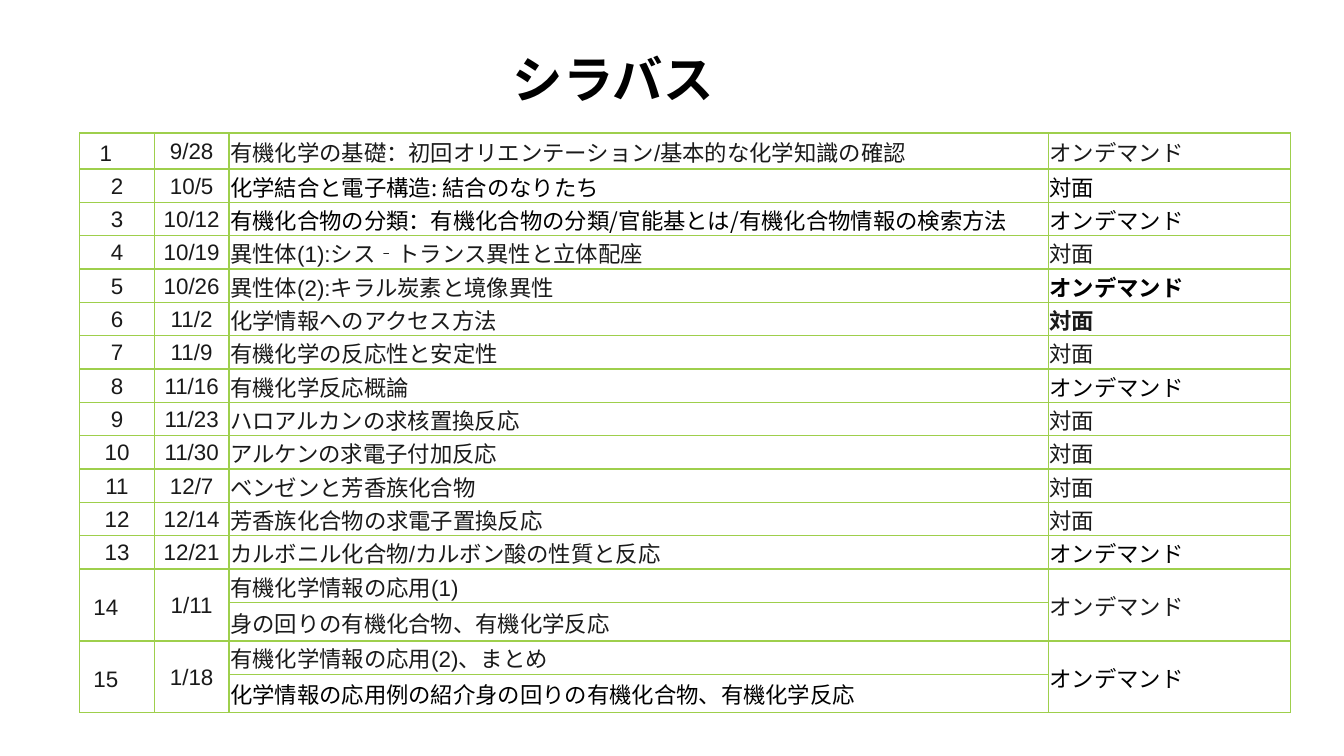
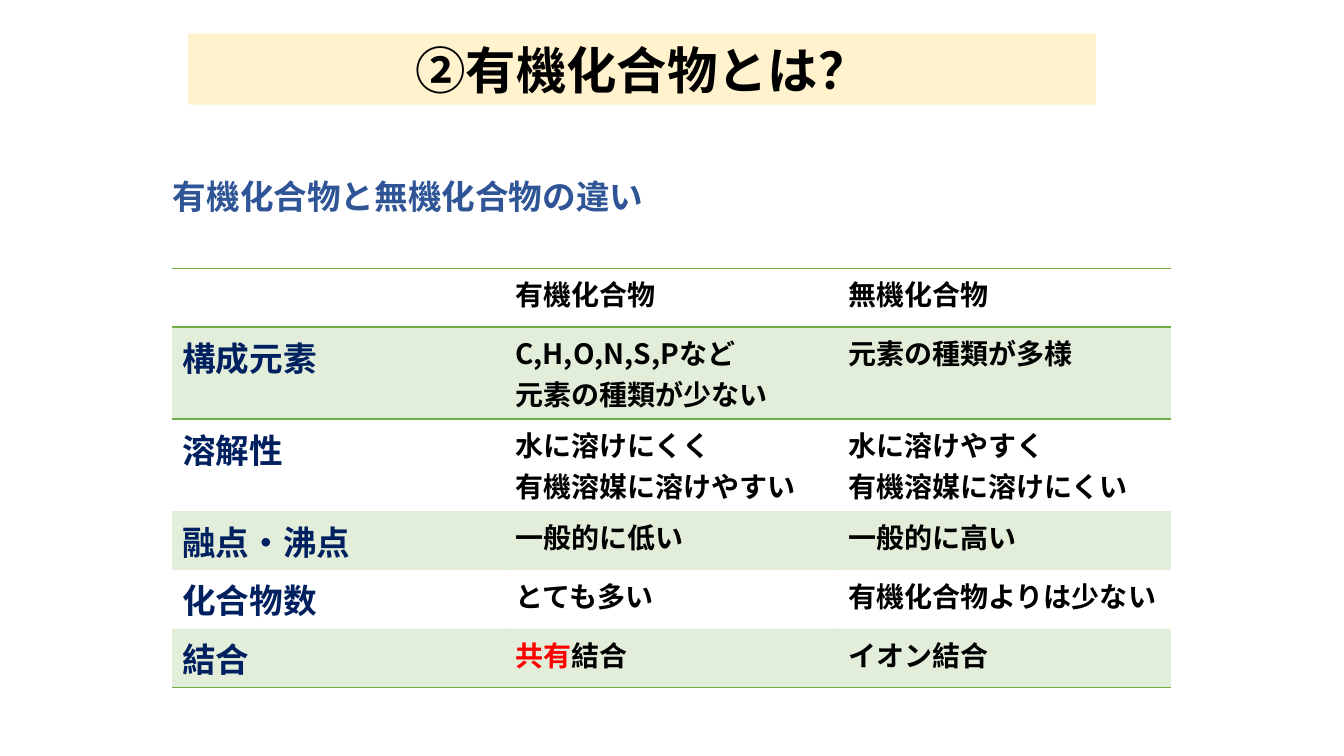
import lxml.etree
import pptx
import pptx.dml.color
import pptx.enum.shapes
import pptx.enum.text
import pptx.oxml.ns
import pptx.util

Cm = pptx.util.Cm
qn = pptx.oxml.ns.qn
rgb = pptx.dml.color.RGBColor.from_string
CENTER = pptx.enum.text.PP_ALIGN.CENTER

GOTHIC, SANS = "Noto Sans CJK JP", "Arial"
BLACK, INK, NAVY, BLUE, RED = "000000", "1A1A1A", "002060", "2F5597", "FF0000"
LIME, GREEN, CREAM = "9ECF4C", "70AD47", "FFF2CC"
PLAIN_TABLE = "{2D5ABB26-0587-4C30-8999-92F81FD0307C}"
TITLE_SIZE = 36


def write(paragraph, text, size, hue=BLACK, face=GOTHIC, bold=True):
    for part in text.split("|"):
        paragraph.add_run().text = part
    font = paragraph.font
    font.size, font.bold, font.name = pptx.util.Pt(size), bold, face
    font.color.rgb = rgb(hue)
    defaults = paragraph._p.pPr.find(qn("a:defRPr"))
    lxml.etree.SubElement(defaults, qn("a:ea")).set("typeface", GOTHIC)


def edge(cell, sides, hue):
    for side in sides:
        line = lxml.etree.SubElement(cell._tc.get_or_add_tcPr(), qn("a:ln" + side), w="12700")
        solid = lxml.etree.SubElement(line, qn("a:solidFill"))
        lxml.etree.SubElement(solid, qn("a:srgbClr"), val=hue)


deck = pptx.Presentation()
deck.slide_width, deck.slide_height = Cm(33.87), Cm(19.05)
blank = deck.slide_layouts[6]

syllabus = deck.slides.add_slide(blank)
heading = syllabus.shapes.add_textbox(Cm(12.67), Cm(1.09), Cm(5.64), Cm(1.8)).text_frame
heading.word_wrap = False
write(heading.paragraphs[0], "シラバス", TITLE_SIZE)

lessons = [
    ("1　", "9/28", "有機化学の基礎：初回オリエンテーション/基本的な化学知識の確認", "オンデマンド"),
    ("2", "10/5", "化学結合と電子構造: 結合のなりたち", "対面"),
    ("3", "10/12", "有機化合物の分類：有機化合物の分類/官能基とは/有機化合物情報の検索方法", "オンデマンド"),
    ("4", "10/19", "異性体(1):シス‐トランス異性と立体配座", "対面"),
    ("5", "10/26", "異性体(2):キラル炭素と境像異性", "オンデマンド"),
    ("6", "11/2", "化学情報へのアクセス方法", "対面"),
    ("7", "11/9", "有機化学の反応性と安定性", "対面"),
    ("8", "11/16", "有機化学反応概論", "オンデマンド"),
    ("9", "11/23", "ハロアルカンの求核置換反応", "対面"),
    ("10", "11/30", "アルケンの求電子付加反応", "対面"),
    ("11", "12/7", "ベンゼンと芳香族化合物", "対面"),
    ("12", "12/14", "芳香族化合物の求電子置換反応", "対面"),
    ("13", "12/21", "カルボニル化合物/カルボン酸の性質と反応", "オンデマンド"),
    ("14　", "1/11", "有機化学情報の応用(1)", "オンデマンド"),
    ("", "", "身の回りの有機化合物、有機化学反応", ""),
    ("15　", "1/18", "有機化学情報の応用(2)、まとめ", "オンデマンド"),
    ("", "", "化学情報の応用例の紹介身の回りの有機化合物、有機化学反応", ""),
]
gothic_cells = {(1, 2), (1, 3), (2, 2), (2, 3), (4, 3), (7, 3), (12, 3), (15, 3), (16, 2)}
bold_cells = {(4, 3), (5, 3)}

schedule = syllabus.shapes.add_table(len(lessons), 4, Cm(2.01), Cm(3.35), Cm(30.51), Cm(14.6)).table
schedule._tbl.tblPr.find(qn("a:tableStyleId")).text = PLAIN_TABLE
schedule.first_row = schedule.horz_banding = False
for column, width in zip(schedule.columns, (1.88, 1.88, 20.65, 6.1)):
    column.width = Cm(width)
for r, lesson in enumerate(lessons):
    schedule.rows[r].height = Cm(0.91 if r == 0 else 0.84 if lesson[0] else 0.97)
    for c, text in enumerate(lesson):
        cell = schedule.cell(r, c)
        cell.margin_left = cell.margin_right = cell.margin_top = Cm(0.03)
        cell.margin_bottom = 0
        cell.vertical_anchor = pptx.enum.text.MSO_ANCHOR.MIDDLE
        edge(cell, "LRTB", LIME)
        cell.fill.background()
        if not text:
            schedule.cell(r - 1, c).merge(cell)
            continue
        paragraph = cell.text_frame.paragraphs[0]
        if c < 2:
            paragraph.alignment = CENTER
        hue, face = (BLACK, GOTHIC) if (r, c) in gothic_cells else (INK, SANS)
        write(paragraph, text, 16, hue, face, (r, c) in bold_cells)

compounds = deck.slides.add_slide(blank)
comparison = [
    ("", "有機化合物", "無機化合物"),
    ("構成元素", "C,H,O,N,S,Pなど\n元素の種類が少ない", "元素の種類が多様"),
    ("溶解性", "水に溶けにくく\n有機溶媒に溶けやすい", "水に溶けやすく\n有機溶媒に溶けにくい"),
    ("融点・沸点", "一般的に低い", "一般的に高い"),
    ("化合物数", "とても多い", "有機化合物よりは少ない"),
    ("結合", "共有|結合", "イオン結合"),
]
last = len(comparison) - 1
differences = compounds.shapes.add_table(last + 1, 3, Cm(4.34), Cm(6.76), Cm(25.17), Cm(10.6)).table
differences._tbl.tblPr.find(qn("a:tableStyleId")).text = PLAIN_TABLE
differences.first_row = differences.horz_banding = False
for column in differences.columns:
    column.width = Cm(8.39)
for r, entries in enumerate(comparison):
    differences.rows[r].height = Cm(2.32 if "\n" in entries[1] else 1.48)
    for c, text in enumerate(entries):
        cell = differences.cell(r, c)
        edge(cell, {0: "TB", 1: "T", last: "B"}.get(r, ""), GREEN)
        if r % 2:
            cell.fill.solid()
            cell.fill.fore_color.rgb = rgb(GREEN)
            tint = cell._tc.tcPr.find(qn("a:solidFill")).find(qn("a:srgbClr"))
            lxml.etree.SubElement(tint, qn("a:alpha"), val="20000")
        else:
            cell.fill.background()
        frame = cell.text_frame
        for i, line in enumerate(text.split("\n")):
            paragraph = frame.add_paragraph() if i else frame.paragraphs[0]
            write(paragraph, line, *((20, BLACK) if c else (24, NAVY)))
bond = differences.cell(last, 1).text_frame.paragraphs[0]
bond.runs[0].font.color.rgb = rgb(RED)

subtitle = compounds.shapes.add_textbox(Cm(4.11), Cm(4.32), Cm(15.09), Cm(1.27)).text_frame
subtitle.word_wrap = True
write(subtitle.paragraphs[0], "有機化合物と無機化合物の違い", 24, BLUE)

band = compounds.shapes.add_shape(
    pptx.enum.shapes.MSO_SHAPE.RECTANGLE, Cm(4.75), Cm(0.84), Cm(22.86), Cm(1.8))
band.shadow.inherit = False
band.fill.solid()
band.fill.fore_color.rgb = rgb(CREAM)
band.line.fill.background()
question = band.text_frame.paragraphs[0]
question.alignment = CENTER
write(question, "②有機化合物とは？", TITLE_SIZE)

deck.save("out.pptx")
